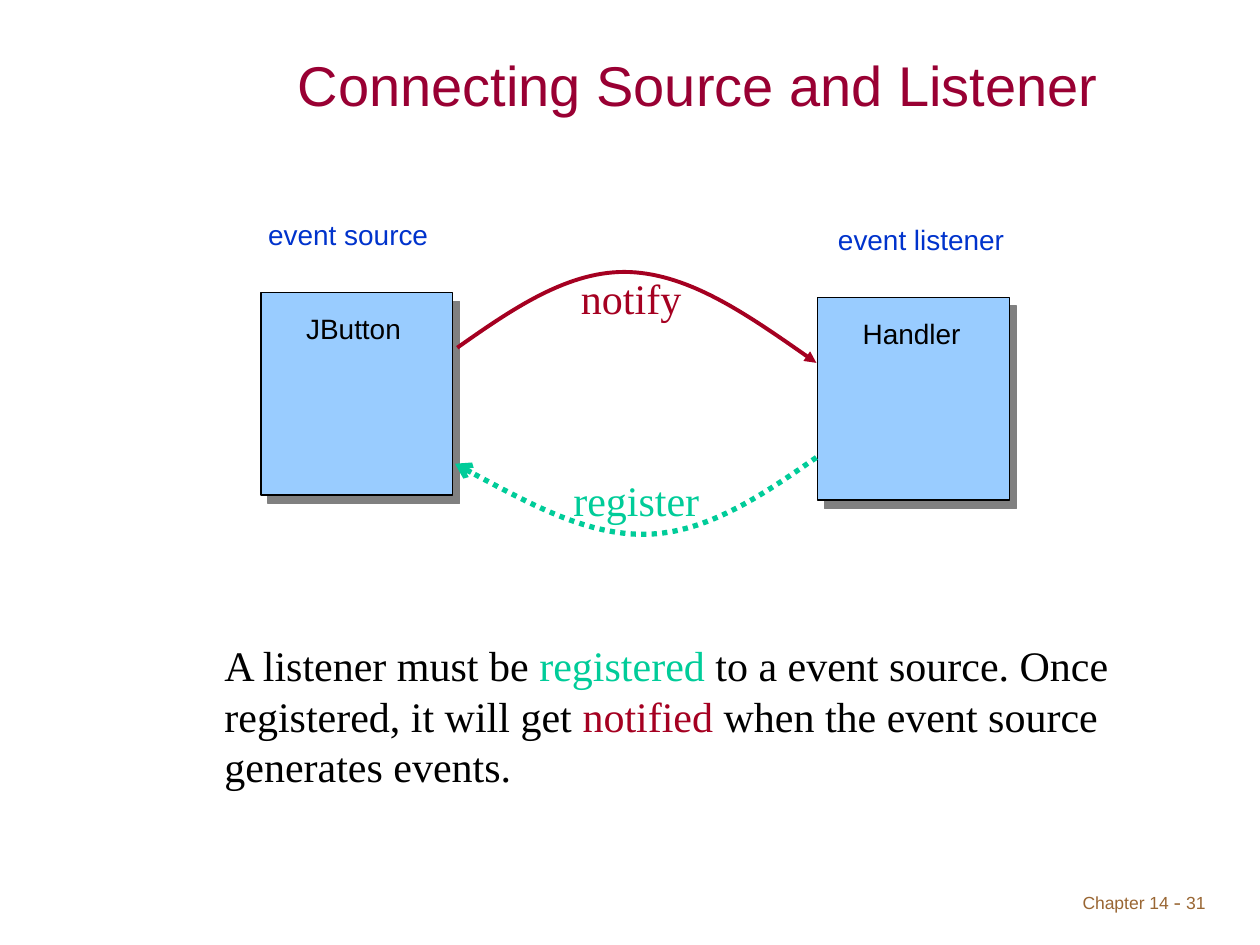
from dataclasses import dataclass

from lxml.etree import SubElement
from pptx import Presentation
from pptx.dml.color import RGBColor
from pptx.enum.dml import MSO_LINE
from pptx.enum.shapes import MSO_SHAPE
from pptx.enum.text import MSO_ANCHOR, PP_ALIGN
from pptx.oxml.ns import qn
from pptx.util import Pt

SANS, SERIF = "Arial", "Times New Roman"
BLACK, RED, GREEN, BLUE = "000000", "A50021", "00CC99", "0033CC"
BROWN, WINE, SKY, GRAY = "996633", "990033", "99CCFF", "808080"
BOX_W, BOX_H = 109.5, 115.7


@dataclass
class Run:
    text: str
    color: str = BLACK
    size: float = 24
    font: str = SERIF


@dataclass
class Node:
    name: str
    role: str
    left: float
    top: float
    role_left: float


@dataclass
class Arc:
    text: str
    color: str
    width: float
    head: str
    points: list
    spot: tuple
    dash: MSO_LINE = MSO_LINE.SOLID


def tint(code: str) -> RGBColor:
    return RGBColor.from_string(code)


def add_text(slide, area: tuple, lines: list, align=PP_ALIGN.LEFT, **form) -> None:
    """Place lines of runs in a text box; form holds text frame values."""
    box = slide.shapes.add_textbox(*map(Pt, area))
    frame = box.text_frame
    for key, value in ({"word_wrap": True} | form).items():
        setattr(frame, key, value)
    for i, line in enumerate(lines):
        para = frame.add_paragraph() if i else frame.paragraphs[0]
        para.alignment = align
        for item in line:
            run = para.add_run()
            run.text = item.text
            for key, value in {"name": item.font, "size": Pt(item.size)}.items():
                setattr(run.font, key, value)
            run.font.color.rgb = tint(item.color)


def add_node(slide, node: Node) -> None:
    """Draw a box with a hard shadow, its name and its role above."""
    box = slide.shapes.add_shape(
        MSO_SHAPE.RECTANGLE, *map(Pt, (node.left, node.top, BOX_W, BOX_H)))
    box.fill.solid()
    box.fill.fore_color.rgb = tint(SKY)
    box.line.color.rgb = tint(BLACK)
    box.line.width = Pt(0.75)
    box.shadow.inherit = False
    effects = box.element.spPr.find(qn("a:effectLst"))
    shade = SubElement(effects, qn("a:outerShdw"), dist=str(Pt(6.4)),
                       dir=str(51 * 60000), algn="ctr", rotWithShape="0")
    SubElement(shade, qn("a:srgbClr"), val=GRAY)
    add_text(slide, (node.left - 3.6, node.top + 7.2, 100, 26.6),
             [[Run(node.name, size=16, font=SANS)]], margin_left=Pt(29.4))
    add_text(slide, (node.role_left, node.top - 46.6, 126.7, 26.6),
             [[Run(node.role, BLUE, 16, SANS)]])


def add_arc(slide, arc: Arc) -> None:
    """Draw a curve through cubic points, with an arrowhead and a label."""
    spots = [(Pt(x), Pt(y)) for x, y in arc.points]
    maker = slide.shapes.build_freeform(*spots[0])
    maker.add_line_segments(spots[1:], close=False)
    curve = maker.convert_to_shape()
    # Each three line points become one cubic segment
    track = next(curve.element.iter(qn("a:path")))
    steps = track.findall(qn("a:lnTo"))
    for i in range(0, len(steps), 3):
        cubic = SubElement(track, qn("a:cubicBezTo"))
        for step in steps[i:i + 3]:
            cubic.append(step[0])
            track.remove(step)
    curve.fill.background()
    curve.shadow.inherit = False
    curve.line.color.rgb = tint(arc.color)
    for key, value in {"width": Pt(arc.width), "dash_style": arc.dash}.items():
        setattr(curve.line, key, value)
    SubElement(curve.element.spPr.find(qn("a:ln")), qn("a:tailEnd"), type=arc.head)
    add_text(slide, arc.spot, [[Run(arc.text, arc.color)]])


NODES = [
    Node("JButton", "event source", 149.2, 167.2, 146.2),
    Node("Handler", "event listener", 467.2, 170, 471.8),
]
ARCS = [
    Arc("notify", RED, 2.25, "triangle",
        [(261.3, 198.7), (293, 176.4), (325.4, 154), (360, 155.5),
         (394.5, 157), (430.5, 182.2), (466.5, 207.4)],
        (324.9, 152, 78, 36)),
    Arc("register", GREEN, 3, "arrow",
        [(466.5, 261.4), (435.6, 283), (404, 304.5), (369.4, 305.3),
         (335.5, 306), (297.4, 285.1), (260, 265)],
        (320.6, 267.8, 92, 36), MSO_LINE.ROUND_DOT),
]
BODY = [
    [Run("A listener must be "), Run("registered", GREEN),
     Run(" to a event source. Once")],
    [Run("registered, it will get "), Run("notified", RED),
     Run(" when the event source")],
    [Run("generates events.")],
]


def main() -> None:
    deck = Presentation()
    deck.slide_width, deck.slide_height = Pt(720), Pt(540)
    slide = deck.slides.add_slide(deck.slide_layouts[6])

    # Footer and title
    add_text(slide, (540, 491.8, 156, 36),
             [[Run("Chapter 14", BROWN, 10, SANS), Run(" - ", BROWN, 12),
               Run("31", BROWN, 10, SANS)]],
             PP_ALIGN.RIGHT, margin_top=Pt(15.8))
    add_text(slide, (108, 18, 582, 60),
             [[Run("Connecting Source and Listener", WINE, 32, SANS)]],
             PP_ALIGN.CENTER, vertical_anchor=MSO_ANCHOR.MIDDLE)

    # Diagram
    for node in NODES:
        add_node(slide, node)
    for arc in ARCS:
        add_arc(slide, arc)

    # Explanation
    add_text(slide, (121.2, 362, 532, 93.6), BODY)
    deck.save("out.pptx")


if __name__ == "__main__":
    main()
